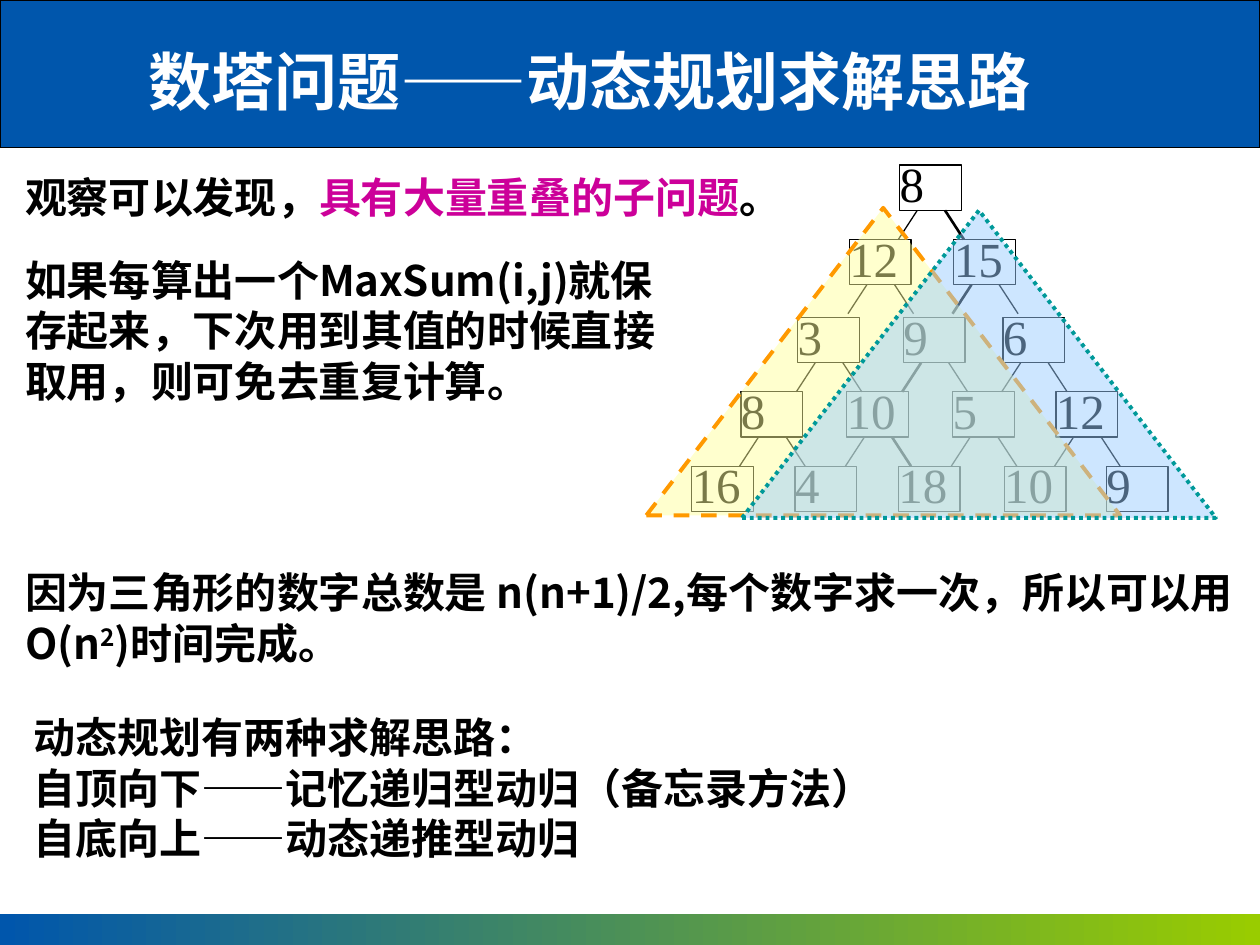
import pptx
import pptx.dml.color
import pptx.enum.dml
import pptx.enum.shapes
import pptx.enum.text
import pptx.util
from pptx.oxml.ns import qn
from lxml import etree

Inches, Pt = pptx.util.Inches, pptx.util.Pt
SHAPE = pptx.enum.shapes.MSO_SHAPE
DASH = pptx.enum.dml.MSO_LINE
ALIGN = pptx.enum.text.PP_ALIGN
ANCHOR = pptx.enum.text.MSO_ANCHOR

COLORS = {"band": "0056AC", "green": "99CC00", "black": "000000", "white": "FFFFFF",
          "magenta": "CC0099", "yellow": "FFFF99", "orange": "FF9900",
          "sky": "99CCFF", "teal": "009999"}
HEAD_FONT, NUMBER_FONT = "Noto Sans CJK SC", "Times New Roman"
BOX_WIDTH, BOX_HEIGHT, BRANCH_HEIGHT = 0.49, 0.36, 0.23

# top of the row, then (left, number) for each box
TOWER = [
    (1.31, [(7.14, 8)]),
    (1.9, [(6.74, 12), (7.57, 15)]),
    (2.52, [(6.33, 3), (7.17, 9), (7.96, 6)]),
    (3.11, [(5.88, 8), (6.72, 10), (7.56, 5), (8.38, 12)]),
    (3.7, [(5.49, 16), (6.31, 4), (7.13, 18), (7.97, 10), (8.78, 9)]),
]
BRANCHES = {"left": (0.14, -0.01), "right": (0.36, 0.51)}
BEST_PATH = {(0, 0, "right"), (1, 1, "left"), (2, 1, "left"), (3, 1, "right")}


def rgb(name):
    return pptx.dml.color.RGBColor.from_string(COLORS[name])


def set_all(target, values):
    for name, value in values.items():
        setattr(target, name, value)


def add_span(para, text, size, color="black", face=HEAD_FONT, bold=True, raised=False):
    span = para.add_run()
    span.text = text
    set_all(span.font, {"size": Pt(size), "name": face, "bold": bold})
    span.font.color.rgb = rgb(color)
    properties = span.font._element
    etree.SubElement(properties, qn("a:ea")).set("typeface", face)
    if raised:
        properties.set("baseline", "30000")


def add_figure(shapes, kind, place, fill, line=None, width=0.75):
    figure = shapes.add_shape(kind, *map(Inches, place))
    figure.shadow.inherit = False
    figure.fill.solid()
    figure.fill.fore_color.rgb = rgb(fill)
    if line:
        figure.line.color.rgb = rgb(line)
        figure.line.width = Pt(width)
    else:
        figure.line.fill.background()
    return figure


def add_bands(page):
    add_figure(page.shapes, SHAPE.RECTANGLE, (0, 0, 10, 1.17), "band", "black")
    footer = add_figure(page.shapes, SHAPE.RECTANGLE, (0, 7.25, 10, 0.25), "band")
    footer.fill.gradient()
    footer.fill.gradient_angle = 0
    for stop, color in zip(footer.fill.gradient_stops, ("band", "green")):
        stop.color.rgb = rgb(color)


def add_title(page, text):
    title = page.shapes.title
    page.shapes._spTree.append(title._element)  # in front of the band
    set_all(title, {"left": Inches(0.69), "top": Inches(0.28),
                    "width": Inches(7.97), "height": Inches(0.71)})
    set_all(title.text_frame, {"vertical_anchor": ANCHOR.MIDDLE, "word_wrap": True,
                               "auto_size": pptx.enum.text.MSO_AUTO_SIZE.NONE})
    para = title.text_frame.paragraphs[0]
    para.alignment = ALIGN.CENTER
    add_span(para, text, 36, "white")


def add_number_box(shapes, left, top, number):
    box = add_figure(shapes, SHAPE.RECTANGLE, (left, top, BOX_WIDTH, BOX_HEIGHT),
                     "white", "black")
    set_all(box.text_frame, {"margin_left": 0, "margin_right": 0, "margin_top": 0,
                             "margin_bottom": 0, "vertical_anchor": ANCHOR.TOP})
    para = box.text_frame.paragraphs[0]
    set_all(para, {"alignment": ALIGN.LEFT, "line_spacing": 0.8})
    add_span(para, str(number), 28, face=NUMBER_FONT, bold=False)


def add_branch(shapes, start, end, width):
    branch = shapes.add_connector(pptx.enum.shapes.MSO_CONNECTOR.STRAIGHT,
                                  *map(Inches, start + end))
    branch.line.color.rgb = rgb("black")
    branch.line.width = Pt(width)
    etree.SubElement(branch._element.spPr, qn("a:effectLst"))


def add_tower(page):
    shapes = page.shapes.add_group_shape().shapes
    for top, boxes in TOWER:
        for left, number in boxes:
            add_number_box(shapes, left, top, number)
    for row, (top, boxes) in enumerate(TOWER[:-1]):
        bottom = top + BOX_HEIGHT
        for column, (left, _) in enumerate(boxes):
            for side, (start, end) in BRANCHES.items():
                width = 1.5 if (row, column, side) in BEST_PATH else 0.75
                add_branch(shapes, (left + start, bottom),
                           (left + end, bottom + BRANCH_HEIGHT), width)


def add_overlay(page, left, top, fill, line, dash, opacity):
    overlay = add_figure(page.shapes, SHAPE.ISOSCELES_TRIANGLE,
                         (left, top, 3.76, 2.44), fill, line, 2.25)
    overlay.line.dash_style = dash
    color = overlay._element.spPr.find(qn("a:solidFill")).find(qn("a:srgbClr"))
    etree.SubElement(color, qn("a:alpha")).set("val", str(opacity * 1000))


def add_text(page, place, paragraphs):
    """Each paragraph is a list of (text, format) spans."""
    box = page.shapes.add_textbox(*map(Inches, place))
    box.text_frame.word_wrap = True
    for index, spans in enumerate(paragraphs):
        para = box.text_frame.add_paragraph() if index else box.text_frame.paragraphs[0]
        para.line_spacing = Pt(28.8)
        for text, style in spans:
            add_span(para, text, 24, **style)


def main():
    deck = pptx.Presentation()
    deck.slide_width, deck.slide_height = Inches(10), Inches(7.5)
    page = deck.slides.add_slide(deck.slide_layouts[5])
    add_bands(page)
    add_title(page, "数塔问题——动态规划求解思路")
    add_tower(page)
    add_overlay(page, 5.13, 1.65, "yellow", "orange", DASH.DASH, 48)
    add_overlay(page, 5.89, 1.67, "sky", "teal", DASH.ROUND_DOT, 49)
    add_text(page, (0.1, 1.31, 6.79, 0.5), [[
        ("观察可以发现，", {}), ("具有大量重叠的子问题", {"color": "magenta"}), ("。", {})]])
    add_text(page, (0.17, 5.6, 9.58, 1.31), [
        [("动态规划有两种求解思路：", {})],
        [("自顶向下——记忆递归型动归（备忘录方法）", {})],
        [("自底向上——动态递推型动归", {})]])
    add_text(page, (0.1, 1.97, 5.39, 1.31), [[
        ("如果每算出一个MaxSum(i,j)就保存起来，下次用到其值的时候直接取用，"
         "则可免去重复计算。", {})]])
    add_text(page, (0.1, 4.45, 9.81, 0.91), [[
        ("因为三角形的数字总数是 n(n+1)/2,每个数字求一次，所以可以用O(n", {}),
        ("2", {"raised": True}), (")时间完成。", {})]])
    deck.save("out.pptx")


if __name__ == "__main__":
    main()
